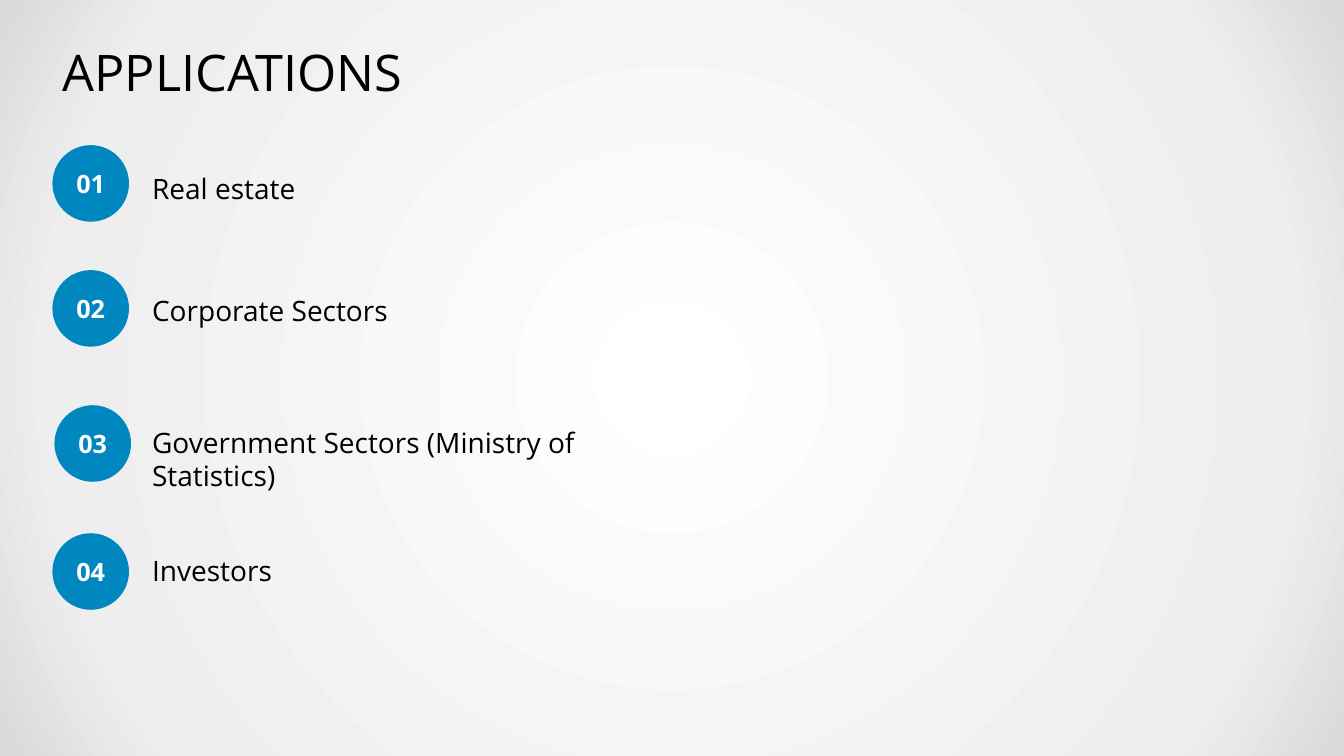
from dataclasses import dataclass

from pptx import Presentation
from pptx import oxml
from pptx import util as u
from pptx.dml.color import RGBColor
from pptx.enum import shapes, text


@dataclass(frozen=True)
class Theme:
    font: str = "Open Sans"
    ink: str = "000000"
    blue: str = "0187C0"
    white: str = "FFFFFF"
    glow: tuple = ((0, "FFFFFF"), (81, "EEEEEE"), (100, "D9D9D9"))
    title: int = 36
    label: int = 20
    badge: int = 18


@dataclass(frozen=True)
class Item:
    name: str
    top: float
    text_top: float
    left: float = 0.52
    wide: float = 4.39
    high: float = 0.44


THEME = Theme()
SIDE = 0.76
ITEMS = (
    Item("Real estate", 1.44, 1.65),
    Item("Corporate Sectors", 2.68, 2.86, wide=2.74),
    Item("Government Sectors (Ministry of Statistics)", 4.02, 4.17, left=0.54, high=0.77),
    Item("Investors", 5.29, 5.44),
)


def box(left: float, top: float, wide: float, high: float) -> tuple:
    return tuple(u.Inches(n) for n in (left, top, wide, high))


def write(frame, words: str, size: int, tint: str, bold: bool = False,
          align=text.PP_ALIGN.LEFT, anchor=text.MSO_ANCHOR.TOP) -> None:
    frame.word_wrap = True
    frame.auto_size = text.MSO_AUTO_SIZE.NONE
    frame.vertical_anchor = anchor
    para = frame.paragraphs[0]
    para.alignment = align
    para.line_spacing = 1.0
    run = para.add_run()
    run.text = words
    run.font.name = THEME.font
    run.font.size = u.Pt(size)
    run.font.bold = bold
    run.font.color.rgb = RGBColor.from_string(tint)


def paint_back(slide) -> None:
    fill = slide.background.fill
    fill.gradient()
    stops = "".join(
        f'<a:gs pos="{at * 1000}"><a:srgbClr val="{tint}"/></a:gs>' for at, tint in THEME.glow
    )
    grad = oxml.parse_xml(
        '<a:gradFill xmlns:a="http://schemas.openxmlformats.org/drawingml/2006/main" '
        f'rotWithShape="1"><a:gsLst>{stops}</a:gsLst><a:path path="circle">'
        '<a:fillToRect l="50000" t="50000" r="50000" b="50000"/></a:path></a:gradFill>'
    )
    old = slide.element.find(".//" + oxml.ns.qn("a:gradFill"))
    old.getparent().replace(old, grad)


def draw_title(slide, words: str) -> None:
    title = slide.shapes.title
    title.left, title.top, title.width, title.height = box(0.52, 0.36, 4.25, 0.71)
    write(title.text_frame, words, THEME.title, THEME.ink)


def draw_item(slide, rank: int, item: Item) -> None:
    label = slide.shapes.add_textbox(*box(1.41, item.text_top, item.wide, item.high))
    write(label.text_frame, item.name, THEME.label, THEME.ink)
    badge = slide.shapes.add_shape(
        shapes.MSO_SHAPE.OVAL, *box(item.left, item.top, SIDE, SIDE)
    )
    badge.shadow.inherit = False
    badge.fill.solid()
    badge.fill.fore_color.rgb = RGBColor.from_string(THEME.blue)
    badge.line.fill.background()
    write(badge.text_frame, f"{rank:02}", THEME.badge, THEME.white, True,
          text.PP_ALIGN.CENTER, text.MSO_ANCHOR.MIDDLE)


def main() -> None:
    deck = Presentation()
    deck.slide_width, deck.slide_height = u.Inches(13.33), u.Inches(7.5)
    slide = deck.slides.add_slide(deck.slide_layouts[5])
    paint_back(slide)
    draw_title(slide, "APPLICATIONS")
    for rank, item in enumerate(ITEMS, 1):
        draw_item(slide, rank, item)
    deck.save("out.pptx")


if __name__ == "__main__":
    main()
